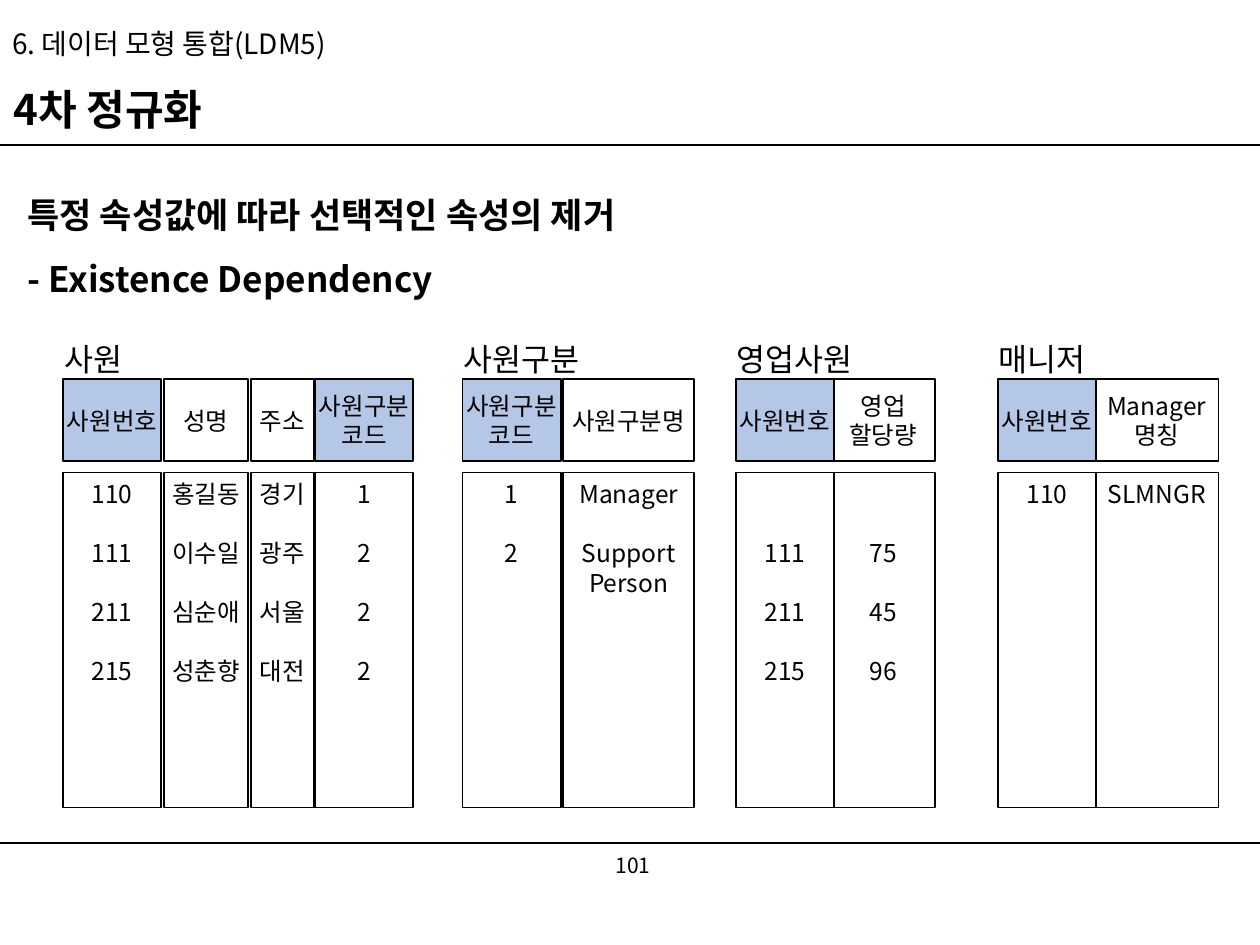
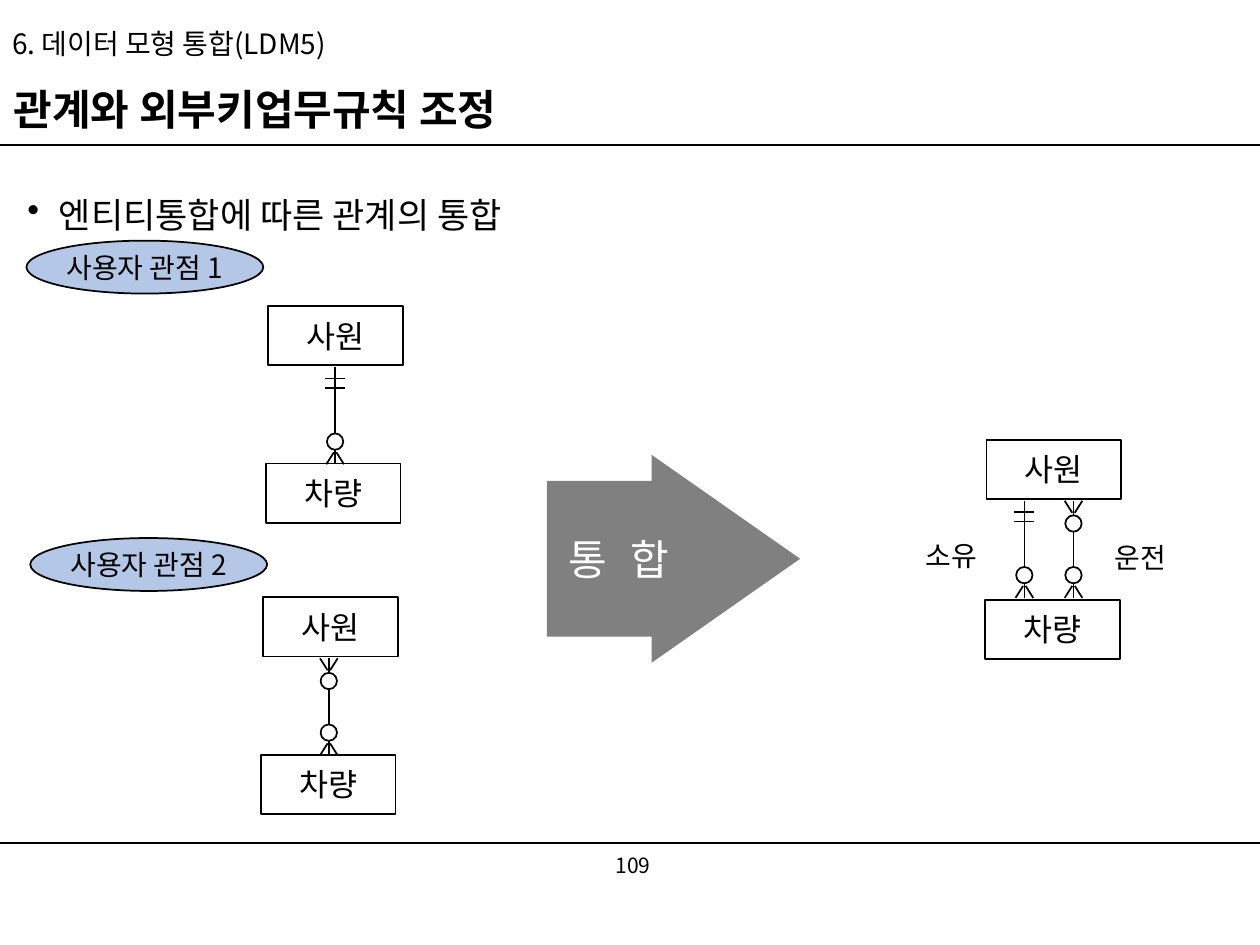
import pptx
import pptx.util
import pptx.dml.color
import pptx.enum.shapes
import pptx.enum.text
import pptx.oxml.ns
import lxml.etree

COLORS = {"ink": "000000", "paper": "FFFFFF", "key": "B4C7E7", "arrow": "808080"}
FONT = "Noto Sans CJK KR"
SHAPES = pptx.enum.shapes.MSO_SHAPE
ALIGN = pptx.enum.text.PP_ALIGN
ANCHOR = pptx.enum.text.MSO_ANCHOR

WIDTH, HEIGHT = pptx.util.Inches(10), pptx.util.Inches(7.5)
COLUMNS = 100                # the grid is 100 columns by 75 rows of square cells
CELL = WIDTH // COLUMNS
LINE_PITCH = pptx.util.Pt(16.9)   # between table text lines
ROW_PITCH = 2 * LINE_PITCH        # between table rows
INSET = pptx.util.Inches(0.05)    # above the first line

# Each table: left column, name, fields (offset, width, is key, header, first row, values)
TABLES = [
    (5.0, "사원", [
        (0, 7.8, True, "사원번호", 0, ["110", "111", "211", "215"]),
        (8.0, 6.7, False, "성명", 0, ["홍길동", "이수일", "심순애", "성춘향"]),
        (14.9, 5.0, False, "주소", 0, ["경기", "광주", "서울", "대전"]),
        (20.0, 7.8, True, "사원구분\n코드", 0, ["1", "2", "2", "2"])]),
    (36.7, "사원구분", [
        (0, 7.8, True, "사원구분\n코드", 0, ["1", "2"]),
        (8.0, 10.4, False, "사원구분명", 0, ["Manager", "Support\vPerson"])]),
    (58.4, "영업사원", [
        (0, 7.8, True, "사원번호", 1, ["111", "211", "215"]),
        (7.6, 8.2, False, "영업\n할당량", 1, ["75", "45", "96"])]),
    (79.2, "매니저", [
        (0, 7.8, True, "사원번호", 0, ["110"]),
        (7.7, 9.8, False, "Manager\n명칭", 0, ["SLMNGR"])]),
]


def color(name):
    return pptx.dml.color.RGBColor.from_string(COLORS[name])


def grid(*cells):
    return [round(cell * CELL) for cell in cells]


def write(shape, text, size, ink="ink", bold=False, align=ALIGN.CENTER,
          anchor=ANCHOR.MIDDLE, wrap=False, pitch=None, gap=0):
    """Fill a shape with text; pitch is the line spacing, gap the space between paragraphs."""
    frame = shape.text_frame
    frame.text = text
    frame.word_wrap = wrap
    frame.vertical_anchor = anchor
    for index, paragraph in enumerate(frame.paragraphs):
        paragraph.alignment = align
        if pitch:
            paragraph.line_spacing = pitch
        if gap and index:
            paragraph.space_before = gap
        for run in paragraph.runs:
            run.font.size = pptx.util.Pt(size)
            run.font.bold = bold
            run.font.name = FONT
            run.font.color.rgb = color(ink)
            east_asian = lxml.etree.SubElement(
                run.font._element, pptx.oxml.ns.qn("a:ea"))
            east_asian.set("typeface", FONT)
    return frame


def add_label(slide, box, text, size, align=ALIGN.LEFT, **style):
    return write(slide.shapes.add_textbox(*grid(*box)), text, size, align=align, **style)


def add_block(slide, kind, box, fill="paper", outlined=True):
    shape = slide.shapes.add_shape(kind, *grid(*box))
    shape.shadow.inherit = False
    shape.fill.solid()
    shape.fill.fore_color.rgb = color(fill)
    if outlined:
        shape.line.color.rgb = color("ink")
        shape.line.width = pptx.util.Pt(1)
    else:
        shape.line.fill.background()
    return shape


def add_line(slide, start, end, weight=1):
    line = slide.shapes.add_connector(
        pptx.enum.shapes.MSO_CONNECTOR.STRAIGHT, *grid(*start, *end))
    line.line.color.rgb = color("ink")
    line.line.width = pptx.util.Pt(weight)
    lxml.etree.SubElement(line._element.spPr, pptx.oxml.ns.qn("a:effectLst"))


def add_page(presentation, title, number):
    """Add a blank slide with the shared header, rules and page number."""
    slide = presentation.slides.add_slide(presentation.slide_layouts[6])
    for row in (11.5, 66.9):
        add_line(slide, (0, row), (COLUMNS, row), 0.75)
    add_label(slide, (39, 66.7, 22.5, 4), number, 12, align=ALIGN.CENTER)
    add_label(slide, (0, 1, 100, 5.2), "6. 데이터 모형 통합(LDM5)", 16, wrap=True, pitch=0.9)
    add_label(slide, (0.1, 6.3, 97.6, 5.2), title, 24, bold=True, wrap=True, pitch=0.9)
    return slide


def add_body(slide, text, bold=False, bullet=False):
    frame = add_label(slide, (1.2, 13.1, 97.6, 52), text, 20, bold=bold,
                      anchor=ANCHOR.TOP, wrap=True, pitch=pptx.util.Pt(36.6))
    if bullet:
        properties = frame.paragraphs[0]._p.get_or_add_pPr()
        indent = pptx.util.Inches(0.25)
        properties.set("marL", str(indent))
        properties.set("indent", str(-indent))
        mark = lxml.etree.SubElement(properties, pptx.oxml.ns.qn("a:buChar"))
        mark.set("char", "•")


def add_entity_table(slide, box, name, fields):
    """Draw a named relation as header cells above value columns."""
    left, top, header_height, gap, value_height = box
    add_label(slide, (left - 0.9, top - 3.6, 3 + 2.6 * len(name), 4), name, 18)
    for offset, width, is_key, header, first_row, values in sorted(
            fields, key=lambda field: field[2]):
        head = add_block(slide, SHAPES.RECTANGLE,
                         (left + offset, top, width, header_height),
                         "key" if is_key else "paper")
        write(head, header, 14, pitch=LINE_PITCH)
        column = add_block(slide, SHAPES.RECTANGLE,
                           (left + offset, top + header_height + gap, width, value_height))
        frame = write(column, "\n".join(values), 14, anchor=ANCHOR.TOP,
                      pitch=LINE_PITCH, gap=pptx.util.Emu(ROW_PITCH - LINE_PITCH))
        frame.margin_top = INSET + first_row * ROW_PITCH


def add_circle(slide, x, y, diameter=1.3):
    radius = diameter / 2
    add_block(slide, SHAPES.OVAL, (x - radius, y - radius, diameter, diameter))


def add_relation(slide, box, one_at_top):
    """Draw a crow's-foot relation down the box; the top end is one or optional many."""
    x, top, height = box
    bottom = top + height
    add_line(slide, (x, top), (x, bottom))
    ends = [(bottom, -1)]
    if one_at_top:
        for depth in (0.9, 1.65):
            add_line(slide, (x - 0.8, top + depth), (x + 0.75, top + depth))
    else:
        ends.append((top, 1))
    for edge, inward in ends:
        add_circle(slide, x, edge + inward * 1.8)
        for side in (-1, 1):
            add_line(slide, (x + side * 0.1, edge + inward * 0.95),
                     (x + side * 0.7, edge))


def add_entity_pair(slide, box, relations):
    """Stack two entities; relations lists (offset from left, one at top)."""
    left, top, width, height, lower_shift, step = box
    for name, shift, drop in (("사원", 0, 0), ("차량", lower_shift, step)):
        entity = add_block(slide, SHAPES.RECTANGLE, (left + shift, top + drop, width, height))
        write(entity, name, 18)
    for offset, one_at_top in relations:
        add_relation(slide, (left + offset, top + height + 0.15, 7.7), one_at_top)


def add_viewpoint(slide, box, text):
    write(add_block(slide, SHAPES.OVAL, box, "key"), text, 16)


def add_merge_arrow(slide, box):
    arrow = add_block(slide, SHAPES.RIGHT_ARROW, box, "arrow", outlined=False)
    arrow.adjustments[0] = 0.75
    arrow.adjustments[1] = 0.714
    frame = write(arrow, "통 합", 24, ink="paper", align=ALIGN.LEFT, wrap=True)
    frame.margin_left = pptx.util.Inches(0.17)
    frame.paragraphs[0].runs[0].font._element.set("spc", "400")


def build_normalization(presentation):
    slide = add_page(presentation, "4차 정규화", "101")
    add_body(slide, "특정 속성값에 따라 선택적인 속성의 제거\v- Existence Dependency", bold=True)
    for left, name, fields in TABLES:
        add_entity_table(slide, (left, 30.1, 6.5, 0.9, 26.6), name, fields)


def build_relation_merge(presentation):
    slide = add_page(presentation, "관계와 외부키업무규칙 조정", "109")
    add_body(slide, "엔티티통합에 따른 관계의 통합", bullet=True)
    add_merge_arrow(slide, (43.4, 36.1, 20.1, 16.5))
    add_entity_pair(slide, (21.3, 24.3, 10.7, 4.7, -0.2, 12.5), [(5.3, True)])
    add_entity_pair(slide, (20.9, 47.4, 10.7, 4.7, -0.2, 12.5), [(5.2, False)])
    add_entity_pair(slide, (78.3, 34.9, 10.7, 4.7, -0.1, 12.7), [(3.0, True), (6.9, False)])
    add_viewpoint(slide, (2.1, 19.1, 18.8, 4.2), "사용자 관점 1")
    add_viewpoint(slide, (2.4, 42.7, 18.8, 4.2), "사용자 관점 2")
    add_label(slide, (72.5, 42.2, 6.5, 3.7), "소유", 16)
    add_label(slide, (87.5, 42.4, 6.5, 3.7), "운전", 16)


def main():
    presentation = pptx.Presentation()
    presentation.slide_width, presentation.slide_height = WIDTH, HEIGHT
    build_normalization(presentation)
    build_relation_merge(presentation)
    presentation.save("out.pptx")


if __name__ == "__main__":
    main()
